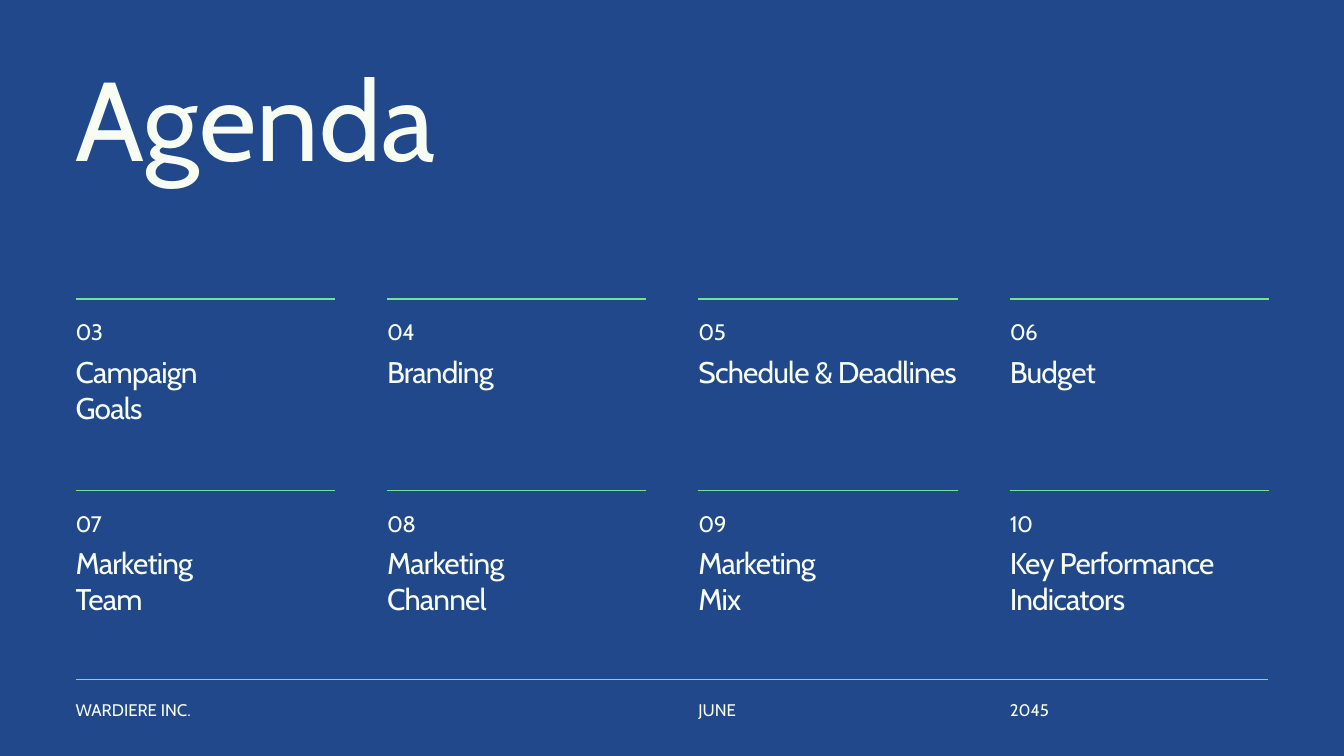
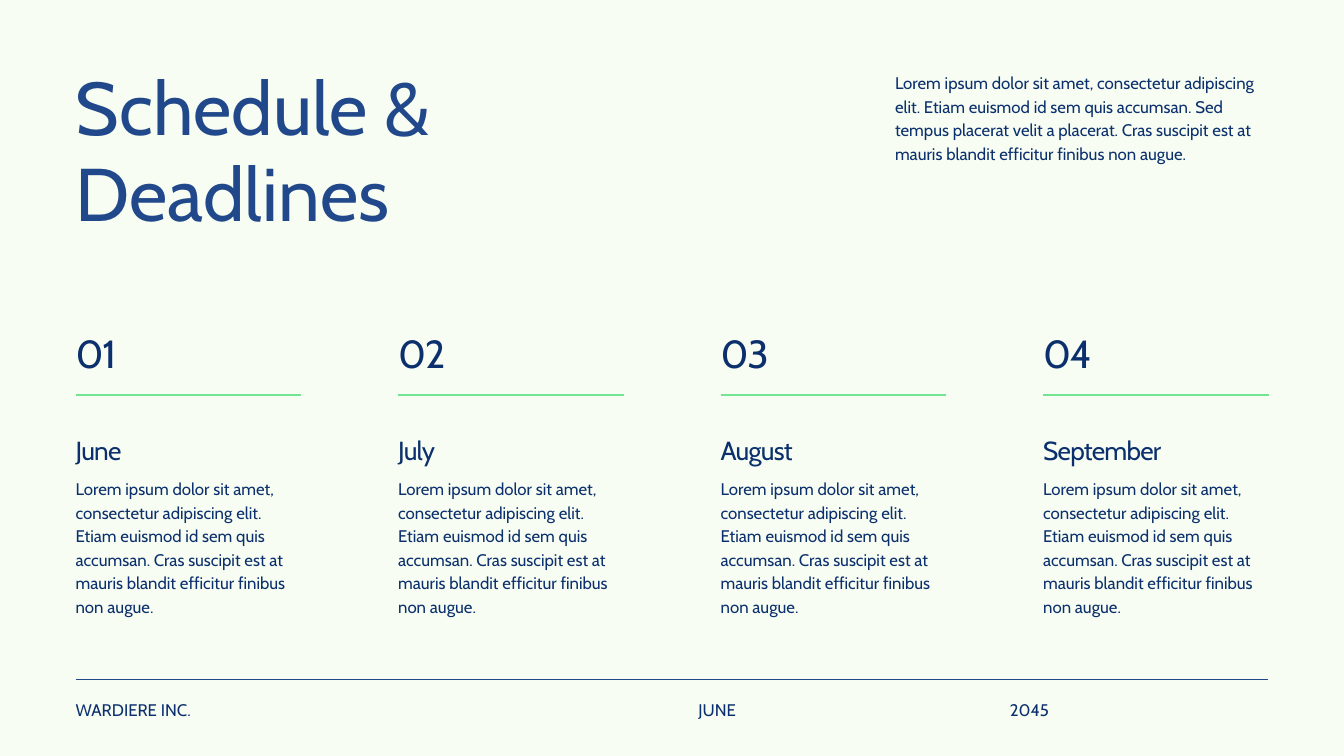
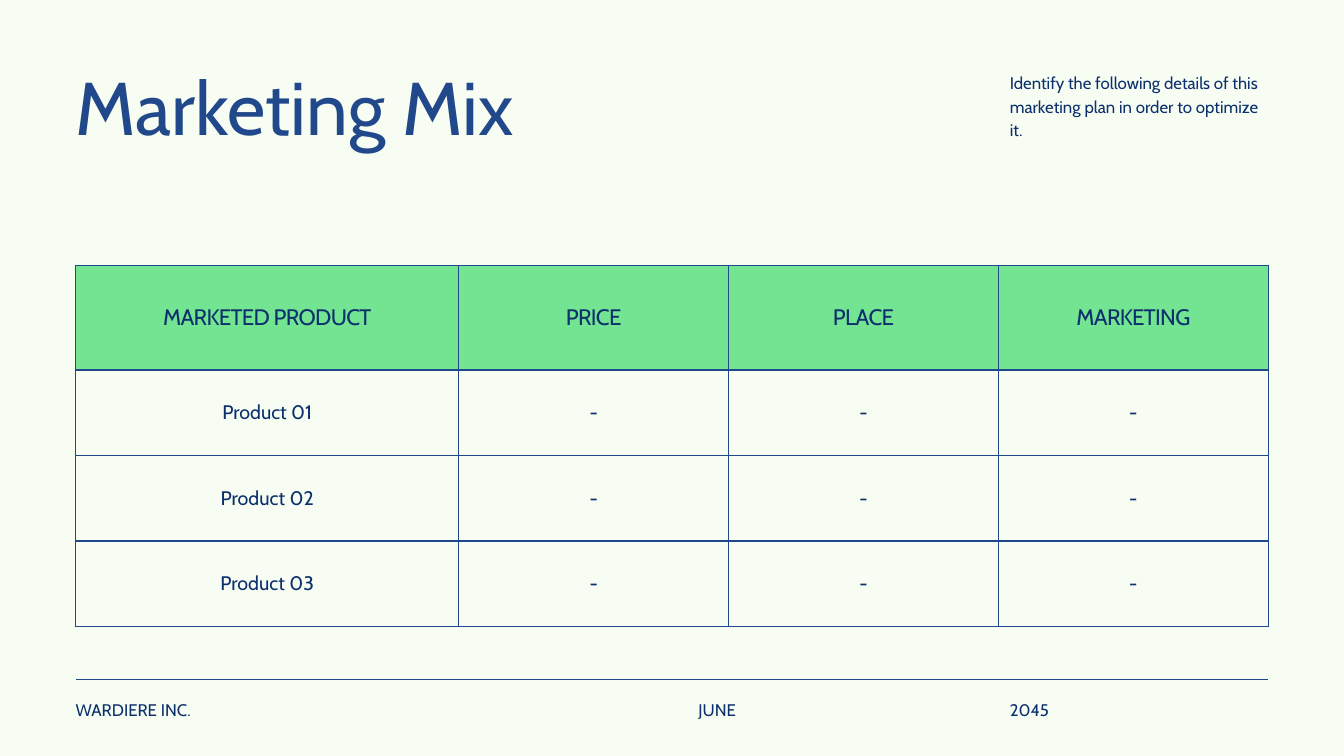
import lxml.etree
import pptx
import pptx.dml.color
import pptx.enum.shapes
import pptx.enum.text
import pptx.oxml.ns
import pptx.util

Cm = pptx.util.Cm
Pt = pptx.util.Pt
color = pptx.dml.color.RGBColor.from_string
qn = pptx.oxml.ns.qn

BLUE = "21488A"
NAVY = "0C306D"
GREEN = "73E491"
CREAM = "F7FDF2"
LEFT = 2.86
WIDTH = 45.08
STEP = 11.77
COLUMN = 9.8


def write(frame, text, size=18, ink=NAVY, lead=25.2, gap=0, align=None, pad=0):
    frame.word_wrap = True
    frame.margin_left = frame.margin_right = Cm(pad)
    frame.margin_top = frame.margin_bottom = Cm(pad)
    for i, part in enumerate(text.split("\n")):
        para = frame.add_paragraph() if i else frame.paragraphs[0]
        para.line_spacing = Pt(lead)
        para.alignment = align
        run = para.add_run()
        run.text = part
        run.font.name = "Cabin"
        run.font.size = Pt(size)
        run.font.bold = False
        run.font.color.rgb = color(ink)
        run._r.get_or_add_rPr().set("spc", str(round(gap * 100)))


def draw(slide, left, top, width, height=0, text=None, line=GREEN, **look):
    if text is None:
        rule = slide.shapes.add_connector(
            pptx.enum.shapes.MSO_CONNECTOR.STRAIGHT,
            Cm(left), Cm(top), Cm(left + width), Cm(top))
        rule.line.color.rgb = color(line)
        rule.line.width = Pt(1.5)
        lxml.etree.SubElement(rule._element.spPr, qn("a:effectLst"))
    else:
        box = slide.shapes.add_textbox(Cm(left), Cm(top), Cm(width), Cm(height))
        write(box.text_frame, text, **look)
        box.text_frame.auto_size = pptx.enum.text.MSO_AUTO_SIZE.SHAPE_TO_FIT_TEXT


deck = pptx.Presentation()
deck.slide_width = Cm(50.8)
deck.slide_height = Cm(28.58)

pages = []
for back, line, ink in [(BLUE, GREEN, CREAM), (CREAM, BLUE, NAVY), (CREAM, BLUE, NAVY)]:
    slide = deck.slides.add_slide(deck.slide_layouts[6])
    slide.background.fill.solid()
    slide.background.fill.fore_color.rgb = color(back)
    draw(slide, LEFT, 25.68, WIDTH, line=line)
    for col, text in [(0, "WARDIERE INC."), (2, "JUNE"), (3, "2045")]:
        draw(slide, LEFT + col * STEP, 26.34, COLUMN, 0.97, text, ink=ink)
    pages.append(slide)
agenda, dates, mix = pages
title = dict(size=80, ink=BLUE, lead=92)

draw(agenda, LEFT, 2.72, 23.52, 5.21, "Agenda", size=120, ink=CREAM, lead=120)
topics = ["Campaign\nGoals", "Branding", "Schedule & Deadlines", "Budget",
          "Marketing\nTeam", "Marketing\nChannel", "Marketing\nMix",
          "Key Performance Indicators"]
for i, topic in enumerate(topics):
    row, col = divmod(i, 4)
    left = LEFT + col * STEP
    top = 11.3 + row * 7.24
    draw(agenda, left, top, COLUMN)
    draw(agenda, left, top + 0.74, 3.02, 1.14, f"{i + 3:02}",
         size=24, ink=CREAM, lead=28.8, gap=-0.7)
    draw(agenda, left, top + 2.06, COLUMN, 2.92, topic,
         size=32, ink=CREAM, lead=38.4, gap=-0.9)

draw(dates, LEFT, 2.44, 24.36, 7.01, "Schedule & Deadlines", **title)
draw(dates, 33.83, 2.64, 14.12, 4.45,
     "Lorem ipsum dolor sit amet, consectetur adipiscing elit. Etiam euismod id sem "
     "quis accumsan. Sed tempus placerat velit a placerat. Cras suscipit est at "
     "mauris blandit efficitur finibus non augue.")
detail = ("Lorem ipsum dolor sit amet, consectetur adipiscing elit. Etiam euismod id "
          "sem quis accumsan. Cras suscipit est at mauris blandit efficitur finibus "
          "non augue.")
for i, month in enumerate(["June", "July", "August", "September"]):
    left = LEFT + i * 12.19
    draw(dates, left, 12.14, 8.52, 2.24, f"{i + 1:02}", size=42, lead=58.8, gap=-1.3)
    draw(dates, left, 14.94, 8.52)
    draw(dates, left, 16.21, 8.52, 1.52, month, size=28, lead=39.2, gap=-0.8)
    draw(dates, left, 17.98, 8.52, 5.33, detail)

draw(mix, LEFT, 2.44, 29.77, 3.78, "Marketing Mix", **title)
draw(mix, 38.17, 2.64, 9.78, 2.69,
     "Identify the following details of this marketing plan in order to optimize it.")
rows = [["MARKETED PRODUCT", "PRICE", "PLACE", "MARKETING"]]
rows += [[f"Product {n:02}", "-", "-", "-"] for n in range(1, 4)]
grid = mix.shapes.add_table(4, 4, Cm(LEFT), Cm(10.03), Cm(WIDTH), Cm(13.65)).table
grid.first_row = grid.horz_banding = False
for i in range(4):
    grid.columns[i].width = Cm(10.2 if i else 14.48)
    grid.rows[i].height = Cm(3.23 if i else 3.96)
for r, row in enumerate(rows):
    look = dict(size=21) if r else dict(size=24, lead=28.8, gap=-0.7)
    for c, text in enumerate(row):
        cell = grid.cell(r, c)
        write(cell.text_frame, text, align=pptx.enum.text.PP_ALIGN.CENTER, **look)
        cell.margin_left = cell.margin_right = Cm(0.53)
        cell.margin_top = cell.margin_bottom = Cm(0.53)
        cell.vertical_anchor = pptx.enum.text.MSO_ANCHOR.MIDDLE
        props = cell._tc.get_or_add_tcPr()
        for side in "LRTB":
            edge = lxml.etree.SubElement(props, qn("a:ln" + side), w=str(Pt(1.5)))
            fill = lxml.etree.SubElement(edge, qn("a:solidFill"))
            lxml.etree.SubElement(fill, qn("a:srgbClr"), val=BLUE)
        if r:
            cell.fill.background()
        else:
            cell.fill.solid()
            cell.fill.fore_color.rgb = color(GREEN)

deck.save("out.pptx")
